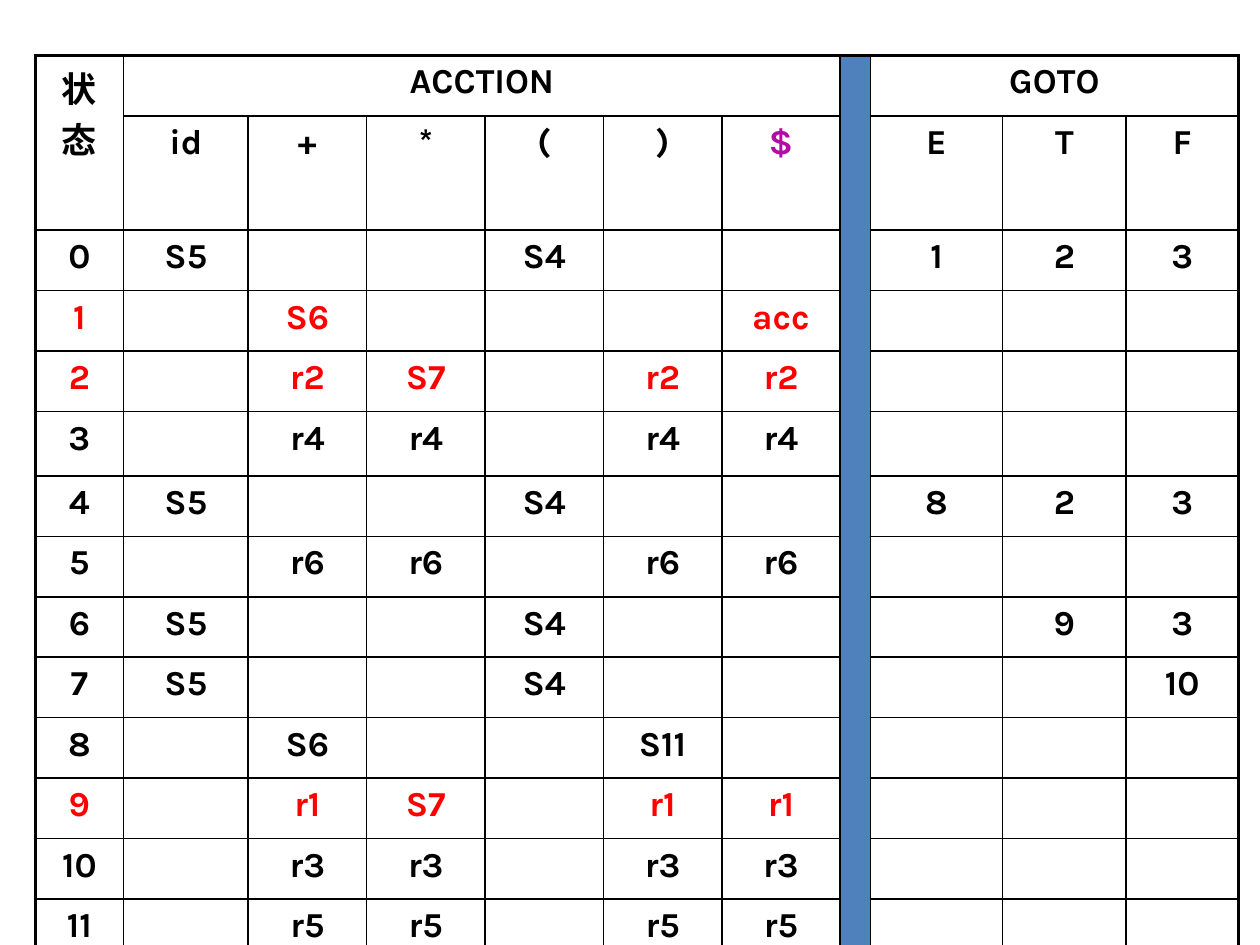
from lxml import etree
from pptx import Presentation
from pptx.dml.color import RGBColor
from pptx.enum.text import PP_ALIGN
from pptx.oxml.ns import qn
from pptx.util import Inches, Pt

CENTER = PP_ALIGN.CENTER
FONT = "Karla"
NO_STYLE = "{2D5ABB26-0587-4C30-8999-92F81FD0307C}"
THIN, THICK = 1, 2.25
COLORS = {"text": "000000", "line": "000000", "red": "FF0000",
          "end": "B50BA5", "bar": "4F81BD"}

WIDTHS = [0.7, 0.99] + [0.94] * 5 + [0.23, 1.05, 0.98, 0.89]
HEIGHTS = [0.48] * 5 + [0.51] + [0.48] * 8
BAR = 7  # column between ACTION and GOTO

# First row, first column, last row, last column of each merged area
SPANS = [(0, 0, 1, 0), (0, 1, 0, 6), (0, BAR, 13, BAR), (0, 8, 0, 10)]

HEAD = {(0, 0): "状态", (0, 1): "ACCTION", (0, 8): "GOTO"}
SYMBOLS = {1: "id", 2: "+", 3: "*", 4: "(", 5: ")", 6: "$",
           8: "E", 9: "T", 10: "F"}


def shift(*goto):
    """Row that shifts on id and (, with gotos aligned to the right."""
    return {1: "S5", 4: "S4", **dict(zip(range(11 - len(goto), 11), goto))}


def reduce_by(rule, star=None):
    """Row that reduces on +, *, ) and $, unless * does something else."""
    return {2: rule, 3: star or rule, 5: rule, 6: rule}


STATES = [
    shift("1", "2", "3"),
    {2: "S6", 6: "acc"},
    reduce_by("r2", "S7"),
    reduce_by("r4"),
    shift("8", "2", "3"),
    reduce_by("r6"),
    shift("9", "3"),
    shift("10"),
    {2: "S6", 5: "S11"},
    reduce_by("r1", "S7"),
    reduce_by("r3"),
    reduce_by("r5"),
]
RED_STATES = {1, 2, 9}


def set_text(cell, text, color):
    para = cell.text_frame.paragraphs[0]
    para.text = text
    para.alignment = CENTER
    font = para.font
    font.name, font.size, font.bold = FONT, Pt(20), True
    font.color.rgb = RGBColor.from_string(COLORS[color])


def set_borders(cell, row, col):
    """Thick on the outer edge of the table, thin elsewhere."""
    high = cell.span_height if cell.is_merge_origin else 1
    wide = cell.span_width if cell.is_merge_origin else 1
    outer = {"lnL": col == 0, "lnR": col + wide == len(WIDTHS),
             "lnT": row == 0, "lnB": row + high == len(HEIGHTS)}
    props = cell._tc.get_or_add_tcPr()
    for spot, (tag, edge) in enumerate(outer.items()):
        line = etree.Element(qn(f"a:{tag}"), w=str(Pt(THICK if edge else THIN)))
        fill = etree.SubElement(line, qn("a:solidFill"))
        etree.SubElement(fill, qn("a:srgbClr"), val=COLORS["line"])
        props.insert(spot, line)


def set_fill(cell, col):
    if col == BAR:
        cell.fill.solid()
        cell.fill.fore_color.rgb = RGBColor.from_string(COLORS["bar"])
    else:
        cell.fill.background()


def add_grid(slide):
    frame = slide.shapes.add_table(
        len(HEIGHTS), len(WIDTHS), Inches(0.28), Inches(0.44),
        Inches(sum(WIDTHS)), Inches(sum(HEIGHTS)))
    table = frame.table
    table.first_row = table.horz_banding = False
    table._tbl.tblPr.find(qn("a:tableStyleId")).text = NO_STYLE
    for col, width in zip(table.columns, WIDTHS):
        col.width = Inches(width)
    for row, height in zip(table.rows, HEIGHTS):
        row.height = Inches(height)
    for top, left, bottom, right in SPANS:
        table.cell(top, left).merge(table.cell(bottom, right))
    for row in range(len(HEIGHTS)):
        for col in range(len(WIDTHS)):
            cell = table.cell(row, col)
            if not cell.is_spanned:
                set_fill(cell, col)
                set_borders(cell, row, col)
    return table


def fill_grid(table):
    # Headings
    for (row, col), text in HEAD.items():
        set_text(table.cell(row, col), text, "text")
    for col, text in SYMBOLS.items():
        set_text(table.cell(1, col), text, "end" if text == "$" else "text")
    # One row per parser state
    for state, moves in enumerate(STATES):
        color = "red" if state in RED_STATES else "text"
        for col, text in {0: str(state), **moves}.items():
            set_text(table.cell(state + 2, col), text, color)


def main():
    deck = Presentation()
    deck.slide_width, deck.slide_height = Inches(10), Inches(7.5)
    slide = deck.slides.add_slide(deck.slide_layouts[6])
    fill_grid(add_grid(slide))
    deck.save("out.pptx")


if __name__ == "__main__":
    main()
